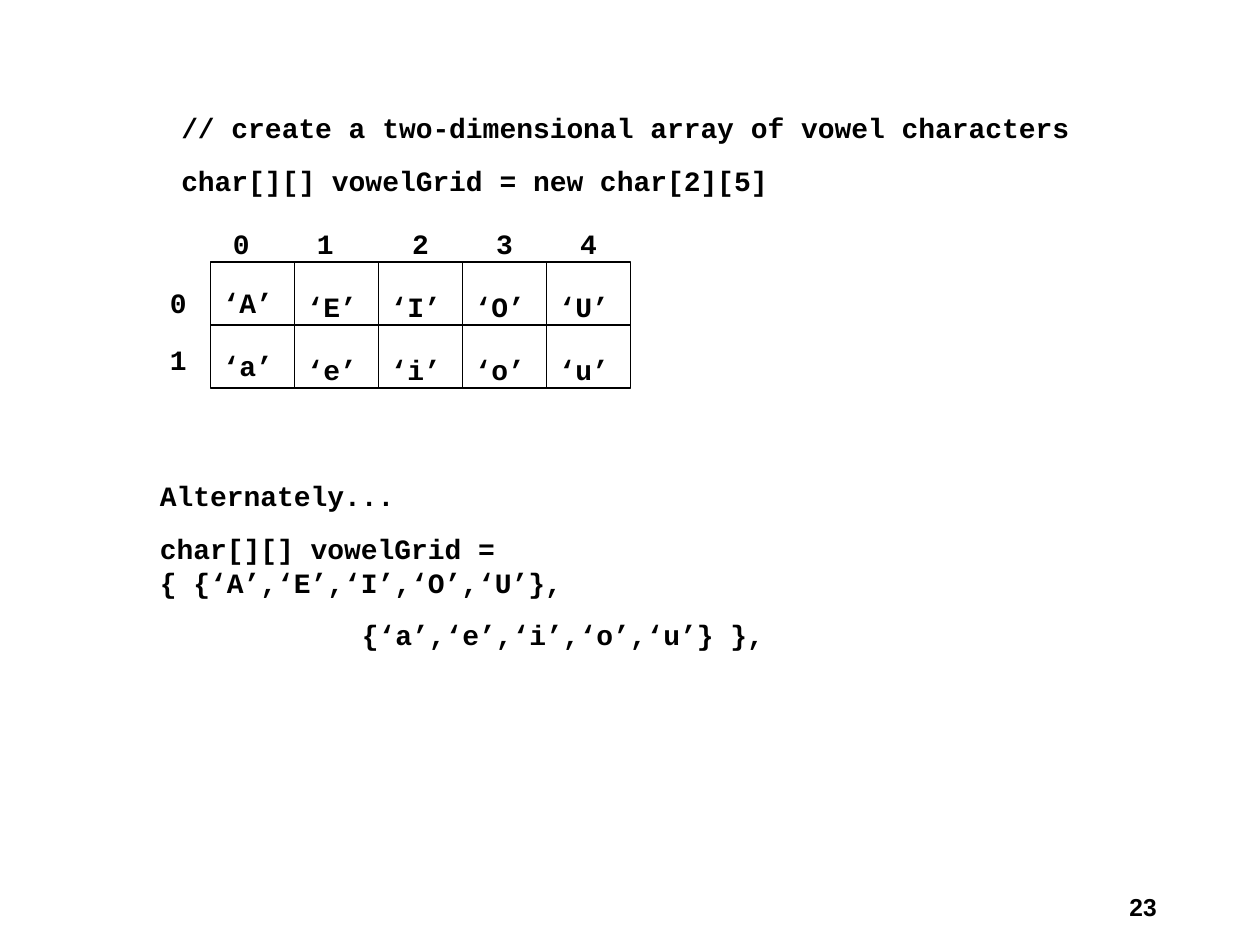
import pptx
import pptx.util
import pptx.dml.color
import pptx.enum.shapes
import pptx.enum.text

Inches = pptx.util.Inches
Pt = pptx.util.Pt
COLORS = {"ink": "000000", "page": "FFFFFF"}
CODE = "Courier New"
GRID = ["AEIOU", "aeiou"]
CELL_W, CELL_H = 2 / 3, 0.5
TAB = 0.49


def color(name):
    return pptx.dml.color.RGBColor.from_string(COLORS[name])


def add_tabs(para, count):
    props = para._p.get_or_add_pPr()
    stops = props.makeelement(pptx.oxml.ns.qn("a:tabLst"), {})
    props.append(stops)
    for i in range(1, count + 1):
        stop = stops.makeelement(
            pptx.oxml.ns.qn("a:tab"), {"pos": str(Inches(TAB * i)), "algn": "l"}
        )
        stops.append(stop)


def add_text(shapes, box, lines, font=CODE, size=16):
    """Place bold lines of text in box (left, top, width, height)."""
    shape = shapes.add_textbox(*map(Inches, box))
    frame = shape.text_frame
    frame.word_wrap = False
    frame.text = "\n".join(lines)
    for i, para in enumerate(frame.paragraphs):
        if i:
            para.space_before = Pt(11)
        if "\t" in para.text:
            add_tabs(para, para.text.count("\t"))
        for run in para.runs:
            run.font.name = font
            run.font.size = Pt(size)
            run.font.bold = True
            run.font.color.rgb = color("ink")
    return shape


def add_cell(shapes, left, top, drop, letter):
    """Group one outlined cell with its character."""
    group = shapes.add_group_shape()
    rect = group.shapes.add_shape(
        pptx.enum.shapes.MSO_SHAPE.RECTANGLE,
        *map(Inches, (left, top, CELL_W, CELL_H)),
    )
    rect.shadow.inherit = False
    rect.fill.background()
    rect.line.color.rgb = color("ink")
    rect.line.width = Pt(0.75)
    add_text(group.shapes, (left, top + drop, 0.6, 0.37), [f"‘{letter}’"])


def add_grid(shapes, left, top):
    """Draw the vowel cells with row and column indexes."""
    for row, letters in enumerate(GRID):
        add_text(shapes, (left - 0.42, top + 0.14 + 0.45 * row, 0.33, 0.37), [str(row)])
        for col, letter in enumerate(letters):
            drop = 0.17 if col else 0.14
            add_cell(shapes, left + CELL_W * col, top + CELL_H * row, drop, letter)
    for col in range(len(GRID[0])):
        shift = 0.08 if col < 2 else 0.17
        add_text(
            shapes, (left + CELL_W * col + shift, top - 0.33, 0.33, 0.37), [str(col)]
        )


def add_number(shapes, box):
    shape = add_text(shapes, box, ["23"], font="Arial", size=14)
    frame = shape.text_frame
    frame.word_wrap = True
    frame.margin_right = Inches(0.15)
    frame.paragraphs[0].alignment = pptx.enum.text.PP_ALIGN.RIGHT


def main():
    deck = pptx.Presentation()
    deck.slide_width, deck.slide_height = Inches(10), Inches(7.5)
    slide = deck.slides.add_slide(deck.slide_layouts[6])
    slide.background.fill.solid()
    slide.background.fill.fore_color.rgb = color("page")
    shapes = slide.shapes

    # Page number
    add_number(shapes, (8.75, 7.03, 0.58, 0.33))

    # Array declaration
    add_text(shapes, (1.34, 0.83, 7.25, 0.77), [
        "// create a two-dimensional array of vowel characters",
        "char[][] vowelGrid = new char[2][5]",
    ])

    # Array contents
    add_grid(shapes, 1.67, 2.08)

    # Array initializer
    add_text(shapes, (1.17, 3.75, 6.18, 2.02), [
        "Alternately...",
        "char[][] vowelGrid = { {‘A’,‘E’,‘I’,‘O’,‘U’},",
        "\t\t\t {‘a’,‘e’,‘i’,‘o’,‘u’} },",
    ])

    deck.save("out.pptx")


if __name__ == "__main__":
    main()
